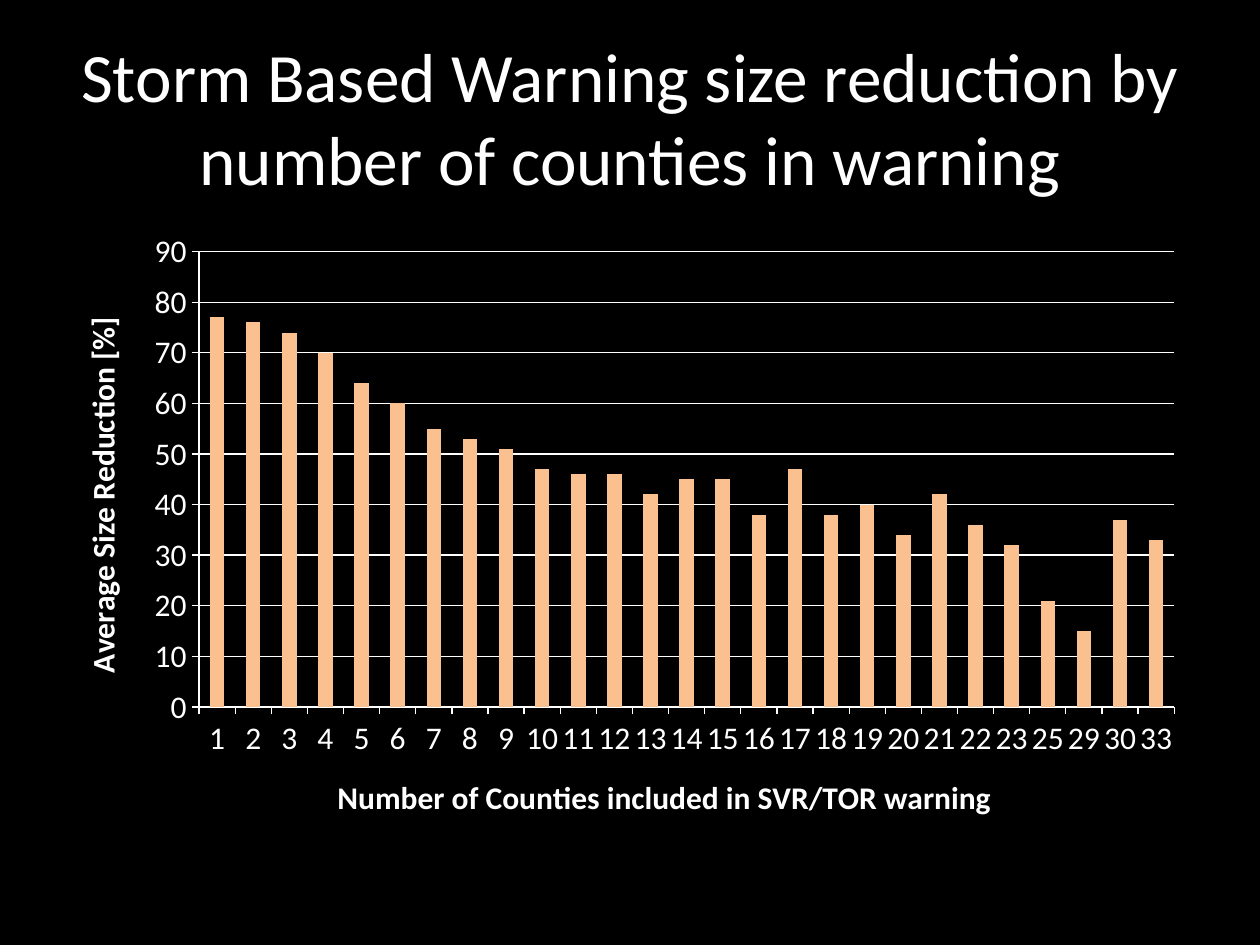
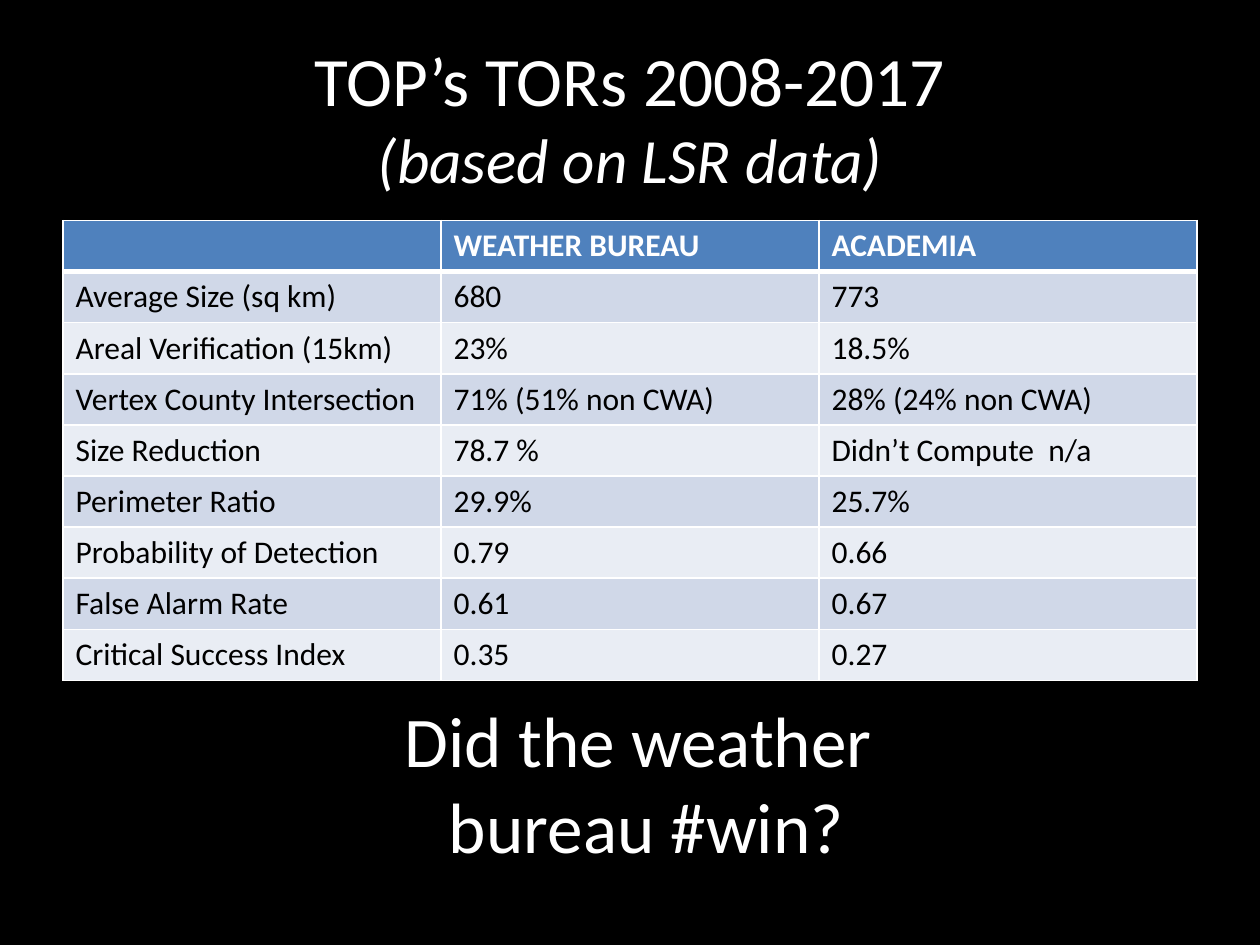
from lxml import etree
from pptx import Presentation
from pptx.chart.data import CategoryChartData
from pptx.dml.color import RGBColor
from pptx.enum.chart import XL_CHART_TYPE, XL_TICK_MARK
from pptx.enum.text import MSO_ANCHOR, MSO_AUTO_SIZE, PP_ALIGN
from pptx.oxml import parse_xml
from pptx.oxml.ns import nsdecls, qn
from pptx.util import Inches, Pt

COLUMNS = XL_CHART_TYPE.COLUMN_CLUSTERED
TICK_OUT, TICK_NONE = XL_TICK_MARK.OUTSIDE, XL_TICK_MARK.NONE
MIDDLE = MSO_ANCHOR.MIDDLE
NO_FIT = MSO_AUTO_SIZE.NONE
CENTER = PP_ALIGN.CENTER

FONT = "Calibri"
BLACK, WHITE = "000000", "FFFFFF"
PEACH, HEADER_BLUE = "FAC090", "4F81BD"
BAND_FILLS = ("D0D8E8", "E9EDF4")
TITLE_SIZE = 39.6
CONTENT_LEFT, CONTENT_TOP, CONTENT_WIDTH = 0.5, 1.75, 9

COUNTIES = [*range(1, 24), 25, 29, 30, 33]
REDUCTIONS = [77, 76, 74, 70, 64, 60, 55, 53, 51, 47, 46, 46, 42, 45,
              45, 38, 47, 38, 40, 34, 42, 36, 32, 21, 15, 37, 33]
SCORES = [
    ("", "WEATHER BUREAU", "ACADEMIA"),
    ("Average Size (sq km)", "680", "773"),
    ("Areal Verification (15km)", "23%", "18.5%"),
    ("Vertex County Intersection", "71% (51% non CWA)", "28% (24% non CWA)"),
    ("Size Reduction", "78.7 %", "Didn’t Compute  n/a"),
    ("Perimeter Ratio", "29.9%", "25.7%"),
    ("Probability of Detection", "0.79", "0.66"),
    ("False Alarm Rate", "0.61", "0.67"),
    ("Critical Success Index", "0.35", "0.27"),
]


def rgb(color):
    return RGBColor.from_string(color)


def set_font(font, size, color=WHITE, bold=False, italic=False):
    font.name = FONT
    font.size = Pt(size)
    font.bold = bold
    font.italic = italic
    font.color.rgb = rgb(color)


def add_run(p, text, size, **style):
    r = p.add_run()
    r.text = text
    set_font(r.font, size, **style)


def place(sp, left, top, width, height):
    sp.left, sp.top = Inches(left), Inches(top)
    sp.width, sp.height = Inches(width), Inches(height)


def set_frame(tf):
    tf.word_wrap = True
    tf.auto_size = NO_FIT
    tf.vertical_anchor = MIDDLE


def add_slide(prs, title, subtitle=None):
    slide = prs.slides.add_slide(prs.slide_layouts[5])
    fill = slide.background.fill
    fill.solid()
    fill.fore_color.rgb = rgb(BLACK)
    sp = slide.shapes.title
    place(sp, CONTENT_LEFT, 0.3, CONTENT_WIDTH, 1.25)
    set_frame(sp.text_frame)
    p = sp.text_frame.paragraphs[0]
    p.alignment = CENTER
    add_run(p, title, TITLE_SIZE)
    if subtitle:
        p.add_line_break()
        add_run(p, subtitle, 36, italic=True)
    return slide


def style_line(line):
    line.color.rgb = rgb(WHITE)
    line.width = Pt(0.75)


def style_axis(axis, title):
    axis.major_tick_mark = TICK_OUT
    axis.minor_tick_mark = TICK_NONE
    style_line(axis.format.line)
    set_font(axis.tick_labels.font, 18)
    add_run(axis.axis_title.text_frame.paragraphs[0], title, 18, bold=True)


def set_plot_area(chart, x, y, w, h):
    plot_area = chart._chartSpace.find(".//" + qn("c:plotArea"))
    for old in plot_area.findall(qn("c:layout")):
        plot_area.remove(old)
    layout = parse_xml(f"<c:layout {nsdecls('c')}><c:manualLayout/></c:layout>")
    settings = dict(layoutTarget="inner", xMode="edge", yMode="edge",
                    x=x, y=y, w=w, h=h)
    for tag, val in settings.items():
        etree.SubElement(layout[0], qn("c:" + tag)).set("val", str(val))
    plot_area.insert(0, layout)


def add_reduction_chart(slide):
    data = CategoryChartData()
    data.categories = [str(n) for n in COUNTIES]
    data.add_series("Series 1", REDUCTIONS)
    chart = slide.shapes.add_chart(
        COLUMNS, Inches(CONTENT_LEFT), Inches(CONTENT_TOP),
        Inches(CONTENT_WIDTH), Inches(4.95), data).chart
    set_font(chart.font, 18)
    chart.has_legend = False
    chart.has_title = False
    plot = chart.plots[0]
    plot.gap_width = 150
    plot.vary_by_categories = False
    fill = plot.series[0].format.fill
    fill.solid()
    fill.fore_color.rgb = rgb(PEACH)
    style_axis(chart.category_axis, "Number of Counties included in SVR/TOR warning")
    axis = chart.value_axis
    style_axis(axis, "Average Size Reduction [%]")
    axis.axis_title.text_frame._txBody.bodyPr.set("rot", "-5400000")
    axis.minimum_scale, axis.maximum_scale, axis.major_unit = 0, 90, 10
    axis.has_major_gridlines = True
    style_line(axis.major_gridlines.format.line)
    set_plot_area(chart, 0.12, 0.05, 0.86, 0.73)


def set_borders(cell, bottom):
    tc_pr = cell._tc.get_or_add_tcPr()
    widths = dict(lnL=1, lnR=1, lnT=1, lnB=bottom)
    for i, (tag, width) in enumerate(widths.items()):
        tc_pr.insert(i, parse_xml(
            f'<a:{tag} {nsdecls("a")} w="{Pt(width)}"><a:solidFill>'
            f'<a:srgbClr val="{WHITE}"/></a:solidFill></a:{tag}>'))


def add_score_table(slide):
    table = slide.shapes.add_table(
        len(SCORES), len(SCORES[0]), Inches(CONTENT_LEFT), Inches(CONTENT_TOP),
        Inches(CONTENT_WIDTH), Inches(3.65)).table
    for i, row in enumerate(SCORES):
        header = i == 0
        for j, text in enumerate(row):
            cell = table.cell(i, j)
            cell.fill.solid()
            cell.fill.fore_color.rgb = rgb(
                HEADER_BLUE if header else BAND_FILLS[(i - 1) % 2])
            set_borders(cell, 3 if header else 1)
            if text:
                add_run(cell.text_frame.paragraphs[0], text, 18,
                        color=WHITE if header else BLACK, bold=header)


def add_question(slide, lines):
    tf = slide.shapes.add_textbox(
        Inches(0.63), Inches(5.58), Inches(9), Inches(1.25)).text_frame
    set_frame(tf)
    for i, line in enumerate(lines):
        p = tf.add_paragraph() if i else tf.paragraphs[0]
        p.alignment = CENTER
        add_run(p, line, 40.7)


def main():
    prs = Presentation()
    prs.slide_width, prs.slide_height = Inches(10), Inches(7.5)
    slide = add_slide(
        prs, "Storm Based Warning size reduction by number of counties in warning")
    add_reduction_chart(slide)
    slide = add_slide(prs, "TOP’s TORs 2008-2017", "(based on LSR data)")
    add_score_table(slide)
    add_question(slide, ["Did the weather ", "bureau #win?"])
    prs.save("out.pptx")


if __name__ == "__main__":
    main()
